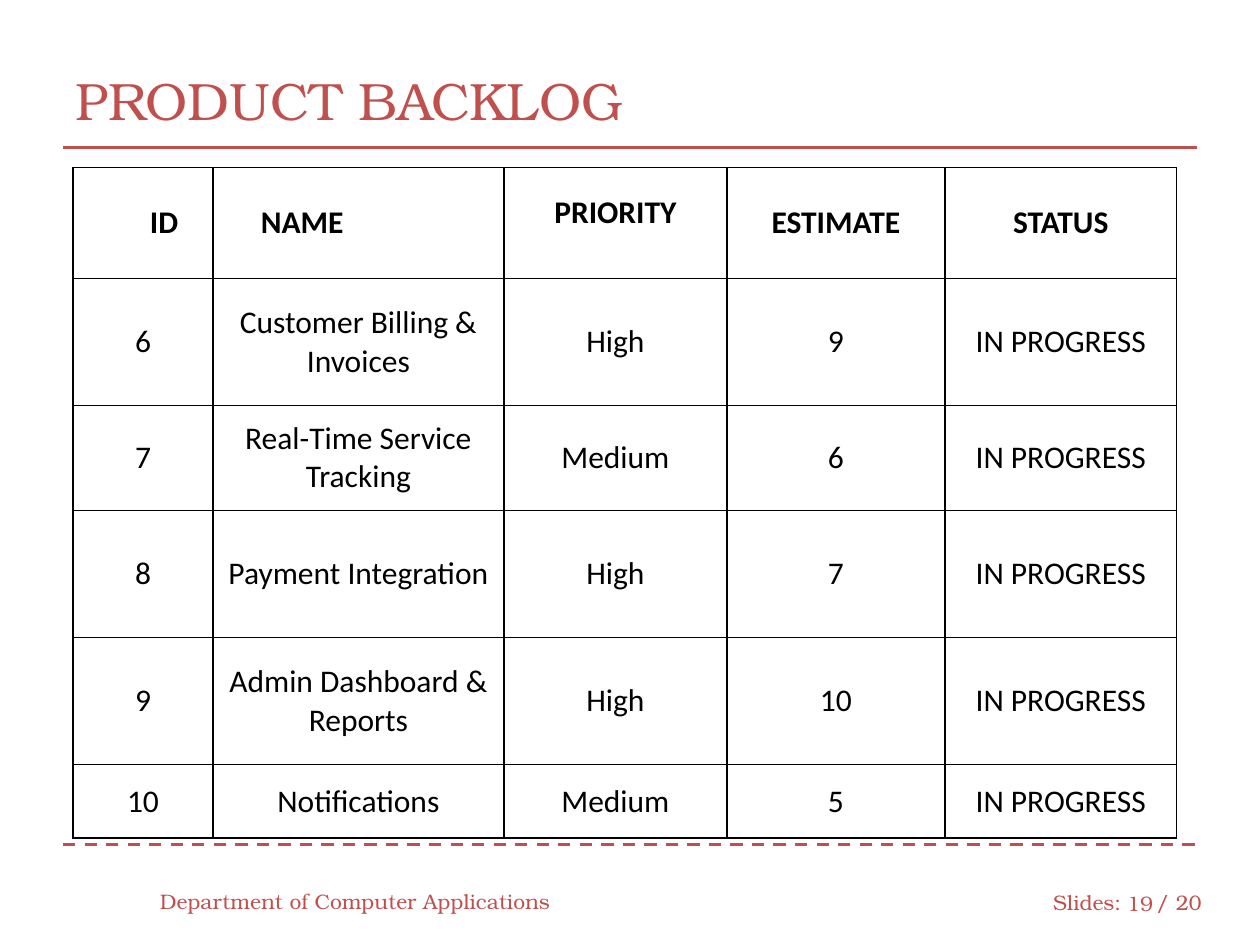
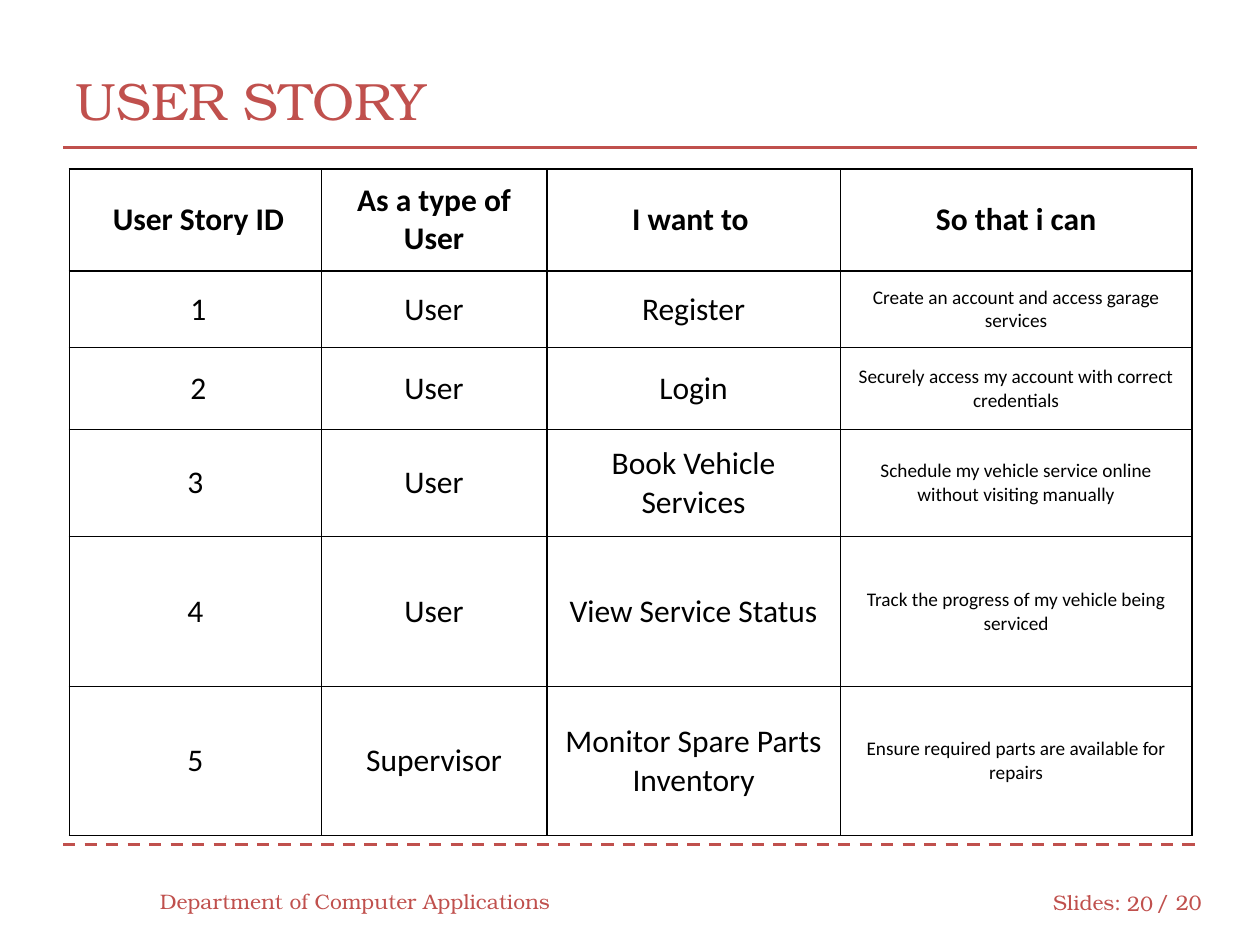
import pptx
import pptx.util
import pptx.dml.color
import pptx.enum.dml
import pptx.enum.shapes
import pptx.enum.text
import pptx.oxml.ns
from lxml import etree

Inches = pptx.util.Inches
Pt = pptx.util.Pt
RGBColor = pptx.dml.color.RGBColor
PP_ALIGN = pptx.enum.text.PP_ALIGN
MIDDLE = pptx.enum.text.MSO_ANCHOR.MIDDLE
qn = pptx.oxml.ns.qn

RED = RGBColor(0xC0, 0x50, 0x4D)
BLACK = RGBColor(0, 0, 0)
WHITE = RGBColor(0xFF, 0xFF, 0xFF)

TITLE_FONT = {"name": "TeX Gyre Bonum", "size": Pt(30), "bold": False}
FOOTER_FONT = {"name": "TeX Gyre Bonum", "size": Pt(12)}
FIRST_NUMBER = 19
LAST_NUMBER = 20
BORDER_WIDTH = Pt(1)

# Each table: column widths, row heights, last-column text size and rows.
# Adjustments map (row, column) to cell margins that differ from 0.1 inch.
# Header indents map a left-aligned header's column to its left margin.
TABLES = [
    {
        "title": "PRODUCT BACKLOG",
        "position": (0.58, 1.33),
        "widths": [1.11, 2.31, 1.77, 1.73, 1.84],
        "heights": [0.88, 1.01, 0.83, 1.01, 1.01, 0.58],
        "last_column_size": 18,
        "header_indents": {0: 0.61, 1: 0.38},
        "adjustments": {(0, 2): {"margin_bottom": Inches(0.27)}},
        "rows": [
            ["ID", "NAME", "PRIORITY", "ESTIMATE", "STATUS"],
            ["6", "Customer Billing & Invoices", "High", "9", "IN PROGRESS"],
            ["7", "Real-Time Service Tracking", "Medium", "6", "IN PROGRESS"],
            ["8", "Payment Integration", "High", "7", "IN PROGRESS"],
            ["9", "Admin Dashboard & Reports", "High", "10", "IN PROGRESS"],
            ["10", "Notifications", "Medium", "5", "IN PROGRESS"],
        ],
    },
    {
        "title": "USER STORY",
        "position": (0.55, 1.34),
        "widths": [2, 1.79, 2.33, 2.79],
        "heights": [0.81, 0.61, 0.65, 0.85, 1.19, 1.18],
        "last_column_size": 11,
        "header_indents": {},
        "adjustments": {
            (0, 0): {"margin_left": Inches(0.15)},
            (1, 0): {"margin_left": Inches(0.15)},
            (2, 0): {"margin_left": Inches(0.15)},
            (0, 2): {"margin_right": Inches(0.15)},
        },
        "rows": [
            ["User Story ID", "As a type of User", "I want to", "So that i can"],
            ["1", "User", "Register",
             "Create an account and access garage services"],
            ["2", "User", "Login",
             "Securely access my account with correct credentials"],
            ["3", "User", "Book Vehicle Services",
             "Schedule my vehicle service online without visiting manually"],
            ["4", "User", "View Service Status",
             "Track the progress of my vehicle being serviced"],
            ["5", "Supervisor", "Monitor Spare Parts Inventory",
             "Ensure required parts are available for repairs"],
        ],
    },
]


def apply_format(target, values):
    for name, value in values.items():
        setattr(target, name, value)


def format_text(text_frame, font_values, color, alignment):
    paragraph = text_frame.paragraphs[0]
    paragraph.alignment = alignment
    font = paragraph.runs[0].font
    apply_format(font, font_values)
    font.color.rgb = color


presentation = pptx.Presentation()
presentation.slide_width = Inches(10)
presentation.slide_height = Inches(7.5)
title_only = presentation.slide_layouts[5]

for number, content in enumerate(TABLES, FIRST_NUMBER):
    slide = presentation.slides.add_slide(title_only)

    # Title
    title = slide.shapes.title
    apply_format(title, {"left": Inches(0.5), "top": Inches(0.33),
                         "width": Inches(9), "height": Inches(0.92)})
    title.text_frame.text = content["title"]
    title.text_frame.vertical_anchor = MIDDLE
    format_text(title.text_frame, TITLE_FONT, RED, PP_ALIGN.LEFT)

    # Solid rule under the title, dashed rule above the footer
    for rule_top, dash in [(1.17, None),
                           (6.7, pptx.enum.dml.MSO_LINE.DASH)]:
        rule = slide.shapes.add_connector(
            pptx.enum.shapes.MSO_CONNECTOR.STRAIGHT,
            Inches(0.5), Inches(rule_top), Inches(9.5), Inches(rule_top))
        rule.line.color.rgb = RED
        apply_format(rule.line, {"width": Pt(1.75), "dash_style": dash})
        etree.SubElement(rule.line._get_or_add_ln().getparent(),
                         qn("a:effectLst"))

    # Footer: department and slide count
    for text, left, top, width, alignment, tight_side in [
        ("Department of Computer Applications", 1.17, 6.95, 3.33,
         PP_ALIGN.LEFT, "margin_right"),
        ("Slides:", 8.26, 6.96, 0.75, PP_ALIGN.LEFT, "margin_right"),
        (str(number), 8.83, 6.97, 0.42, PP_ALIGN.RIGHT, "margin_left"),
        (f"/ {LAST_NUMBER}", 9.08, 6.96, 0.58, PP_ALIGN.LEFT, "margin_right"),
    ]:
        text_frame = slide.shapes.add_textbox(
            Inches(left), Inches(top), Inches(width), Inches(0.4)).text_frame
        text_frame.text = text
        apply_format(text_frame, {"word_wrap": True, tight_side: 0,
                                  "vertical_anchor": MIDDLE})
        format_text(text_frame, FOOTER_FONT, RED, alignment)

    # Table grid
    widths, heights = content["widths"], content["heights"]
    left, top = content["position"]
    table = slide.shapes.add_table(
        len(heights), len(widths), Inches(left), Inches(top),
        Inches(sum(widths)), Inches(sum(heights))).table
    apply_format(table, {"first_row": False, "horz_banding": False})
    for column, width in zip(table.columns, widths):
        column.width = Inches(width)
    for row, height in zip(table.rows, heights):
        row.height = Inches(height)

    # Table cells
    for row_index, row_texts in enumerate(content["rows"]):
        for column_index, text in enumerate(row_texts):
            cell = table.cell(row_index, column_index)
            is_header = row_index == 0
            is_last_column = column_index == len(widths) - 1
            size = 18
            if is_last_column and not is_header:
                size = content["last_column_size"]
            margins = {f"margin_{side}": Inches(0.1)
                       for side in ("left", "right", "top", "bottom")}
            margins.update(
                content["adjustments"].get((row_index, column_index), {}))
            alignment = PP_ALIGN.CENTER
            if is_header and column_index in content["header_indents"]:
                alignment = PP_ALIGN.LEFT
                margins["margin_left"] = Inches(
                    content["header_indents"][column_index])
            cell.text = text
            apply_format(cell, {"vertical_anchor": MIDDLE, **margins})
            format_text(cell.text_frame,
                        {"name": "Calibri", "size": Pt(size),
                         "bold": is_header},
                        BLACK, alignment)
            cell.fill.solid()
            cell.fill.fore_color.rgb = WHITE

            # Borders come before the fill in the cell properties
            properties = cell._tc.get_or_add_tcPr()
            for position, edge in enumerate(("lnL", "lnR", "lnT", "lnB")):
                border = etree.Element(qn(f"a:{edge}"), w=str(BORDER_WIDTH))
                border_fill = etree.SubElement(border, qn("a:solidFill"))
                etree.SubElement(border_fill, qn("a:srgbClr"), val=str(BLACK))
                properties.insert(position, border)

presentation.save("out.pptx")
